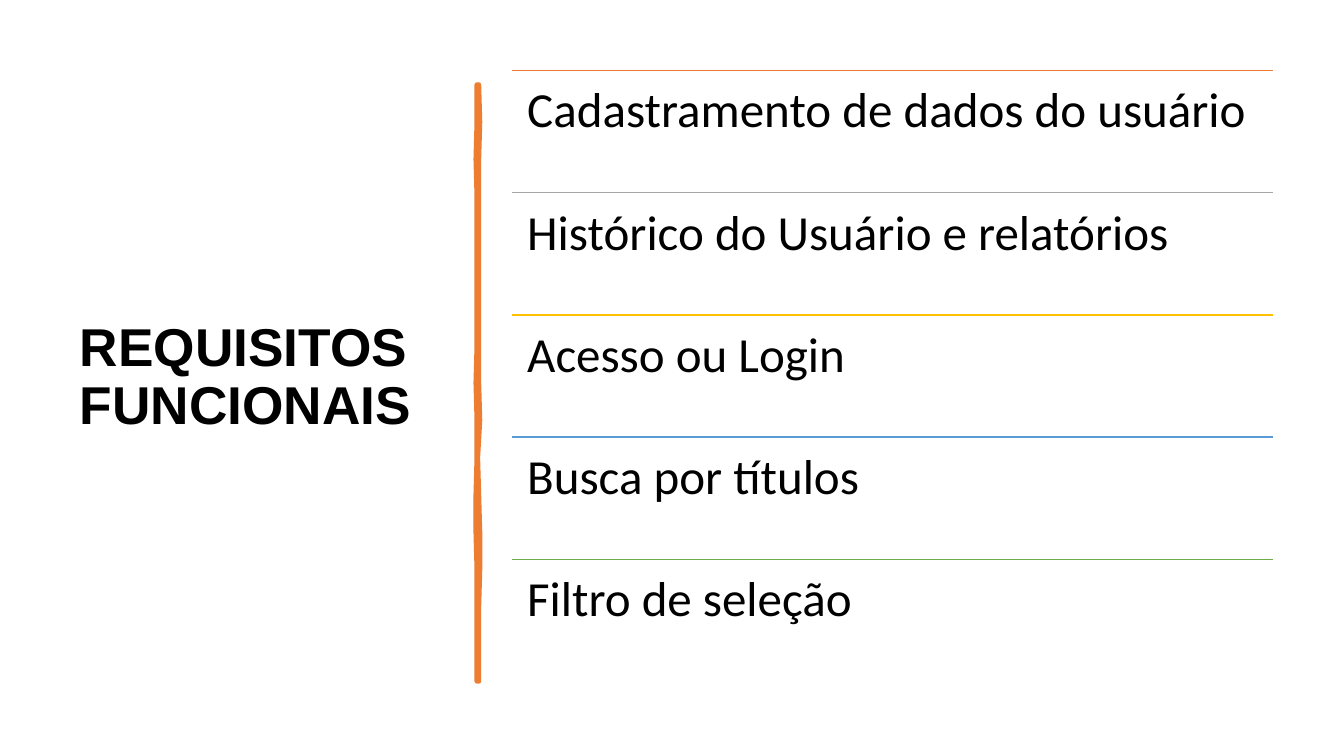
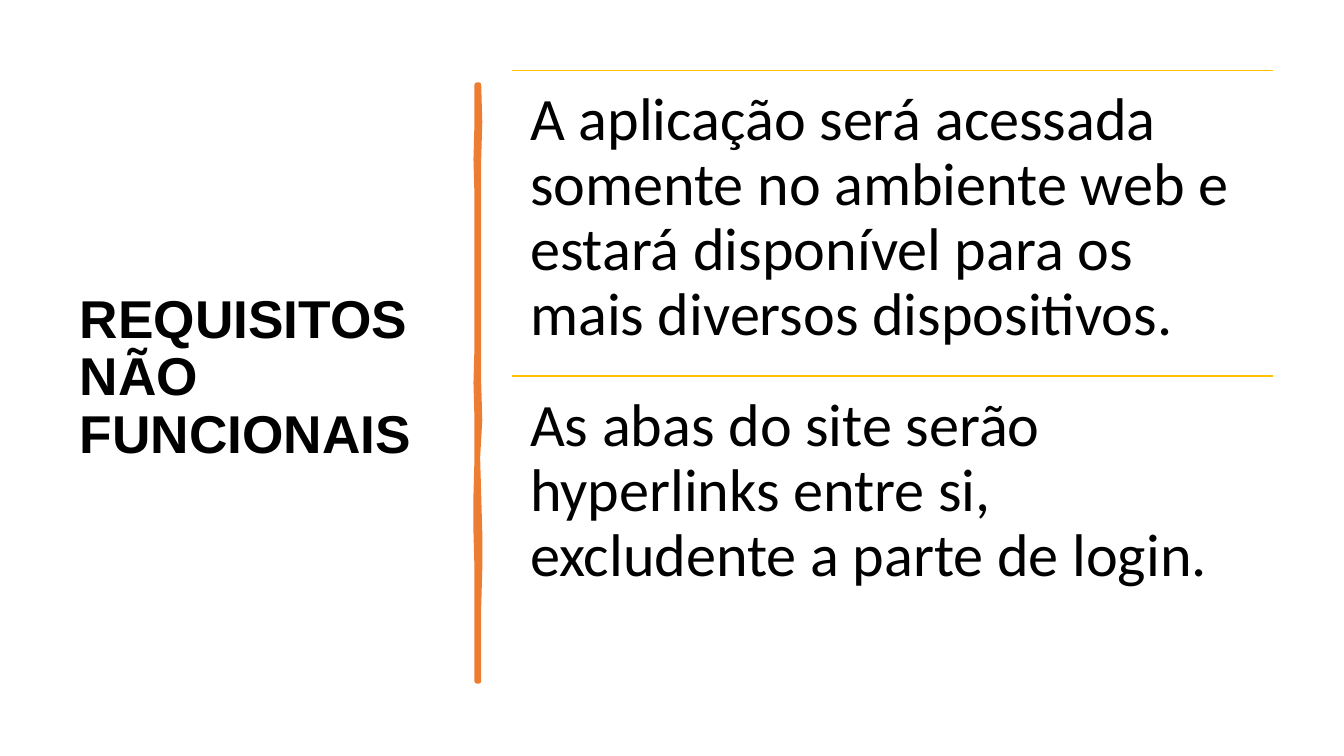
"""Builds two requirement slides: a title, a hand-drawn divider and ruled rows."""
from dataclasses import dataclass

from lxml import etree
from pptx import Presentation
from pptx.dml.color import RGBColor
from pptx.enum.shapes import MSO_CONNECTOR
from pptx.enum.text import MSO_ANCHOR, MSO_AUTO_SIZE, PP_ALIGN
from pptx.oxml.ns import qn
from pptx.util import Inches, Pt

STRAIGHT = MSO_CONNECTOR.STRAIGHT
MIDDLE, TOP = MSO_ANCHOR.MIDDLE, MSO_ANCHOR.TOP
NO_FIT = MSO_AUTO_SIZE.NONE
LEFT = PP_ALIGN.LEFT
TITLE_ONLY = 5
SLIDE_W, SLIDE_H = Inches(13.33), Inches(7.5)


@dataclass(frozen=True)
class Theme:
    ink: str = "000000"
    orange: str = "ED7D31"
    gray: str = "A5A5A5"
    gold: str = "FFC000"
    blue: str = "5B9BD5"
    green: str = "70AD47"
    title_font: str = "Arial"
    body_font: str = "Calibri"
    title_size: int = 38
    list_size: int = 35
    large_size: int = 43
    rule_width: float = 1
    divider_width: float = 3.25
    line_spacing: float = 0.9


@dataclass(frozen=True)
class Box:
    """A frame in percent of the slide's width and height."""
    x: float
    y: float
    w: float
    h: float

    def emu(self) -> tuple[int, int, int, int]:
        return col(self.x), row(self.y), col(self.w), row(self.h)


@dataclass(frozen=True)
class Item:
    text: str
    color: str


@dataclass(frozen=True)
class Page:
    title: str
    size: int
    inset: float
    items: tuple[Item, ...]


THEME = Theme()
TITLE = Box(5.18, 9.33, 28.06, 81.47)
CONTENT = Box(38.1, 9.33, 56.64, 80.8)
DIVIDER = Box(35.56, 11.2, 0.08, 78.93)
RIGHT_EDGE = (1, 2, 1, 1, 1, 1, 1, 1, 1, 2, 0, 1, 2, 2, 1, 1, 1)
LEFT_EDGE = (-1, -1, -2, -1, -1, -1, -1, -1, -2, -1, -1, -2, -2, -1, -1, -1, -1)

PAGES = (
    Page("REQUISITOS FUNCIONAIS", THEME.list_size, 0.15, (
        Item("Cadastramento de dados do usuário", THEME.orange),
        Item("Histórico do Usuário e relatórios", THEME.gray),
        Item("Acesso ou Login", THEME.gold),
        Item("Busca por títulos", THEME.blue),
        Item("Filtro de seleção", THEME.green),
    )),
    Page("REQUISITOS NÃO FUNCIONAIS", THEME.large_size, 0.18, (
        Item("A aplicação será acessada somente no ambiente web e estará "
             "disponível para os mais diversos dispositivos.", THEME.gold),
        Item("As abas do site serão hyperlinks entre si, excludente a parte "
             "de login.", THEME.gold),
    )),
)


def col(share: float) -> int:
    return round(SLIDE_W * share / 100)


def row(share: float) -> int:
    return round(SLIDE_H * share / 100)


def rgb(color: str) -> RGBColor:
    return RGBColor.from_string(color)


def write(tf, text: str, font: str, size: int, anchor, bold: bool = False) -> None:
    tf.text = text
    tf.word_wrap = True
    tf.auto_size = NO_FIT
    tf.vertical_anchor = anchor
    p = tf.paragraphs[0]
    p.alignment = LEFT
    p.line_spacing = THEME.line_spacing
    r = p.runs[0]
    r.font.name, r.font.size, r.font.bold = font, Pt(size), bold
    r.font.color.rgb = rgb(THEME.ink)


def add_title(s, text: str) -> None:
    sp = s.shapes.title
    sp.left, sp.top, sp.width, sp.height = TITLE.emu()
    write(sp.text_frame, text, THEME.title_font, THEME.title_size, MIDDLE, True)


def add_divider(s) -> None:
    step = DIVIDER.h / (len(RIGHT_EDGE) - 1)

    def edge(offsets: tuple[int, ...]) -> list[tuple[int, int]]:
        return [(col(DIVIDER.x + offset * DIVIDER.w), row(DIVIDER.y + i * step))
                for i, offset in enumerate(offsets)]

    points = edge(RIGHT_EDGE) + edge(LEFT_EDGE)[::-1]
    outline = s.shapes.build_freeform(*points[0])
    outline.add_line_segments(points[1:], close=True)
    sp = outline.convert_to_shape()
    sp.shadow.inherit = False
    sp.fill.solid()
    sp.fill.fore_color.rgb = rgb(THEME.orange)
    sp.line.color.rgb = rgb(THEME.orange)
    sp.line.width = Pt(THEME.divider_width)


def add_rule(s, box: Box, color: str) -> None:
    x, y, w, _ = box.emu()
    rule = s.shapes.add_connector(STRAIGHT, x, y, x + w, y)
    rule.line.color.rgb = rgb(color)
    rule.line.width = Pt(THEME.rule_width)
    etree.SubElement(rule._element.spPr, qn("a:effectLst"))


def add_items(s, page: Page) -> None:
    height = CONTENT.h / len(page.items)
    for i, item in enumerate(page.items):
        box = Box(CONTENT.x, CONTENT.y + i * height, CONTENT.w, height)
        add_rule(s, box, item.color)
        tf = s.shapes.add_textbox(*box.emu()).text_frame
        tf.margin_left = tf.margin_right = Inches(page.inset)
        tf.margin_top = tf.margin_bottom = Inches(page.inset)
        write(tf, item.text, THEME.body_font, page.size, TOP)


def main() -> None:
    prs = Presentation()
    prs.slide_width, prs.slide_height = SLIDE_W, SLIDE_H
    for page in PAGES:
        s = prs.slides.add_slide(prs.slide_layouts[TITLE_ONLY])
        add_title(s, page.title)
        add_divider(s)
        add_items(s, page)
    prs.save("out.pptx")


main()
